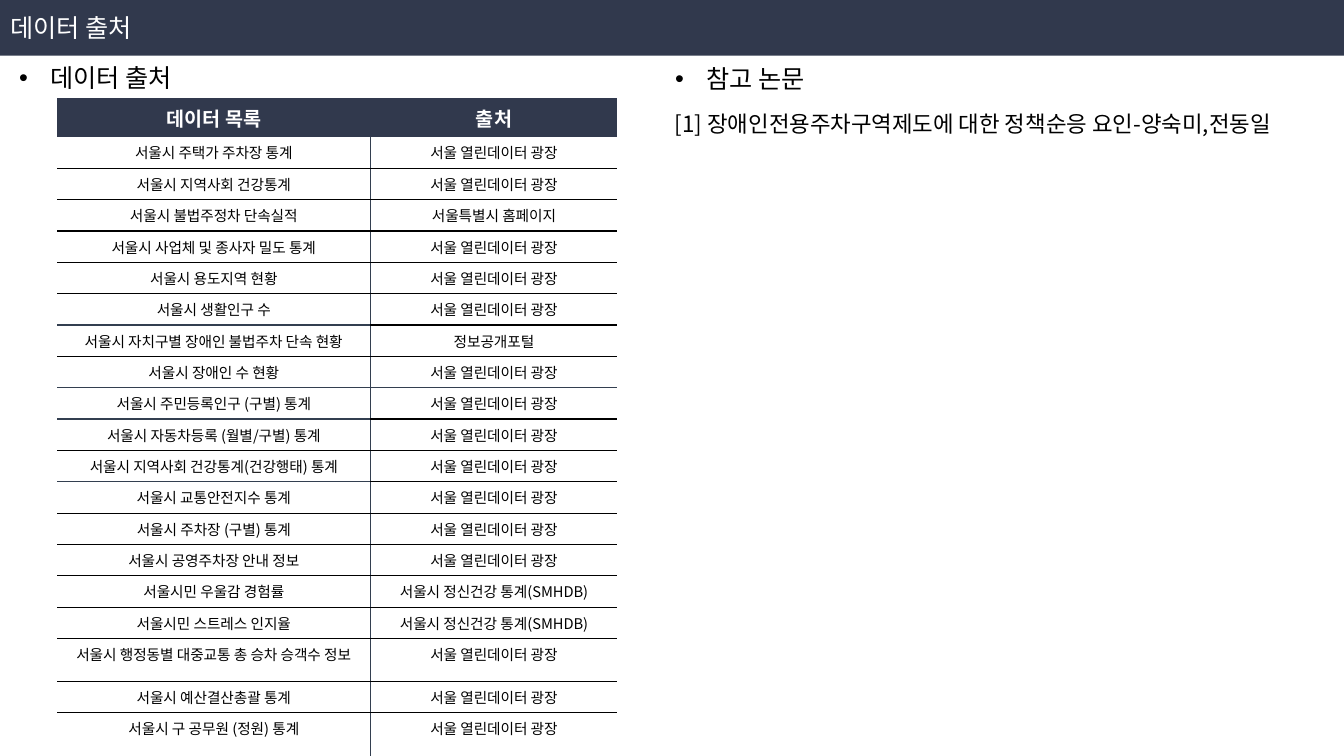
from lxml import etree
from pptx import Presentation
from pptx.dml.color import RGBColor
from pptx.enum import text
from pptx.oxml import ns
from pptx.util import Cm, Pt

FONT = "Noto Sans CJK KR"
NAVY = RGBColor(0x31, 0x39, 0x4D)
SLATE = RGBColor(0x33, 0x3F, 0x50)
BLACK = RGBColor(0, 0, 0)
WHITE = RGBColor(0xFF, 0xFF, 0xFF)

HEADINGS = ("데이터 목록", "출처")
OPEN_DATA = "서울 열린데이터 광장"
MENTAL_HEALTH = "서울시 정신건강 통계(SMHDB)"
DATASETS = [
    ("서울시 주택가 주차장 통계", OPEN_DATA),
    ("서울시 지역사회 건강통계", OPEN_DATA),
    ("서울시 불법주정차 단속실적", "서울특별시 홈페이지"),
    ("서울시 사업체 및 종사자 밀도 통계", OPEN_DATA),
    ("서울시 용도지역 현황", OPEN_DATA),
    ("서울시 생활인구 수", OPEN_DATA),
    ("서울시 자치구별 장애인 불법주차 단속 현황", "정보공개포털"),
    ("서울시 장애인 수 현황", OPEN_DATA),
    ("서울시 주민등록인구 (구별) 통계", OPEN_DATA),
    ("서울시 자동차등록 (월별/구별) 통계", OPEN_DATA),
    ("서울시 지역사회 건강통계(건강행태) 통계", OPEN_DATA),
    ("서울시 교통안전지수 통계", OPEN_DATA),
    ("서울시 주차장 (구별) 통계", OPEN_DATA),
    ("서울시 공영주차장 안내 정보", OPEN_DATA),
    ("서울시민 우울감 경험률", MENTAL_HEALTH),
    ("서울시민 스트레스 인지율", MENTAL_HEALTH),
    ("서울시 행정동별 대중교통 총 승차 승객수 정보", OPEN_DATA),
    ("서울시 예산결산총괄 통계", OPEN_DATA),
    ("서울시 구 공무원 (정원) 통계", OPEN_DATA),
]
TALL_ROWS = (17, 19)
SLATE_RULES = {(6, 0), (8, 0), (8, 1), (9, 0), (11, 0)}


def place(part, box):
    """Move a shape to a box of left, top, width and height."""
    part.left, part.top, part.width, part.height = box


def write(paragraph, words, size, color, bold=False):
    """Add one formatted run to a paragraph."""
    run = paragraph.add_run()
    run.text = words
    run.font.size = Pt(size)
    run.font.bold = bold
    run.font.color.rgb = color
    run.font.name = FONT
    east_asian = etree.SubElement(run.font._element, ns.qn("a:ea"))
    east_asian.set("typeface", FONT)


def rule(cell, side, color=None):
    """Draw one cell border, or clear it when no colour is given."""
    line = etree.SubElement(cell._tc.get_or_add_tcPr(), ns.qn(f"a:ln{side}"))
    line.set("w", str(Pt(1)))
    if color is None:
        etree.SubElement(line, ns.qn("a:noFill"))
    else:
        fill = etree.SubElement(line, ns.qn("a:solidFill"))
        etree.SubElement(fill, ns.qn("a:srgbClr")).set("val", str(color))


def add_title_band(title, box):
    """Turn the title placeholder into the dark band across the slide."""
    place(title, box)
    title.fill.solid()
    title.fill.fore_color.rgb = NAVY
    frame = title.text_frame
    frame.auto_size = text.MSO_AUTO_SIZE.NONE
    frame.vertical_anchor = text.MSO_ANCHOR.MIDDLE
    frame.paragraphs[0].alignment = text.PP_ALIGN.LEFT
    write(frame.paragraphs[0], "데이터 출처", 18, WHITE)


def add_section_heading(body, box, words):
    """Fill a body placeholder with one bulleted heading."""
    place(body, box)
    frame = body.text_frame
    frame.auto_size = text.MSO_AUTO_SIZE.NONE
    heading = frame.paragraphs[0]
    heading.space_before = Pt(0)
    indents = heading._p.get_or_add_pPr()
    indents.set("marL", str(Cm(0.79)))
    indents.set("indent", str(-Cm(0.79)))
    write(heading, words, 18, BLACK)


def add_sources_table(slide, box):
    """Build the table of datasets and where each one comes from."""
    rows = [HEADINGS, *DATASETS]
    table = slide.shapes.add_table(len(rows), len(HEADINGS), *box).table
    table.first_row = table.horz_banding = False
    table.columns[0].width = Cm(7.9)
    table.columns[1].width = box[2] - Cm(7.9)
    last = len(rows) - 1
    for r, entries in enumerate(rows):
        header = r == 0
        table.rows[r].height = Cm(0.98 if header else 1.08 if r in TALL_ROWS else 0.79)
        for c, words in enumerate(entries):
            cell = table.cell(r, c)
            above = SLATE if (r - 1, c) in SLATE_RULES else BLACK
            below = SLATE if (r, c) in SLATE_RULES else BLACK
            rule(cell, "L", SLATE if c == 1 and not header else None)
            rule(cell, "R", SLATE if c == 0 and not header else None)
            rule(cell, "T", above if r > 1 else None)
            rule(cell, "B", below if 0 < r < last else None)
            if header:
                cell.fill.solid()
                cell.fill.fore_color.rgb = NAVY
            else:
                cell.fill.background()
            cell.vertical_anchor = text.MSO_ANCHOR.MIDDLE if r < 5 else text.MSO_ANCHOR.TOP
            entry = cell.text_frame.paragraphs[0]
            entry.alignment = text.PP_ALIGN.CENTER
            write(entry, words, 14 if header else 10.5, WHITE if header else BLACK, header)


def add_citation(slide, box):
    """Add the reference to the cited paper."""
    frame = slide.shapes.add_textbox(*box).text_frame
    frame.word_wrap = True
    write(frame.paragraphs[0],
          "[1] 장애인전용주차구역제도에 대한 정책순응 요인-양숙미,전동일", 16, BLACK)


def main():
    """Build and save the data sources slide."""
    deck = Presentation()
    deck.slide_width, deck.slide_height = Cm(33.87), Cm(19.05)
    slide = deck.slides.add_slide(deck.slide_layouts[3])
    title, sources, papers = slide.placeholders
    add_title_band(title, (0, 0, deck.slide_width, Cm(1.4)))
    add_section_heading(sources, (Cm(0.23), Cm(1.45), Cm(5.44), Cm(1.02)), "데이터 출처")
    add_section_heading(papers, (Cm(16.76), Cm(1.47), Cm(5.44), Cm(1.02)), "참고 논문")
    add_sources_table(slide, (Cm(1.44), Cm(2.47), Cm(14.12), Cm(16.57)))
    add_citation(slide, (Cm(16.76), Cm(2.64), Cm(17.1), Cm(1.63)))
    deck.save("out.pptx")


if __name__ == "__main__":
    main()
